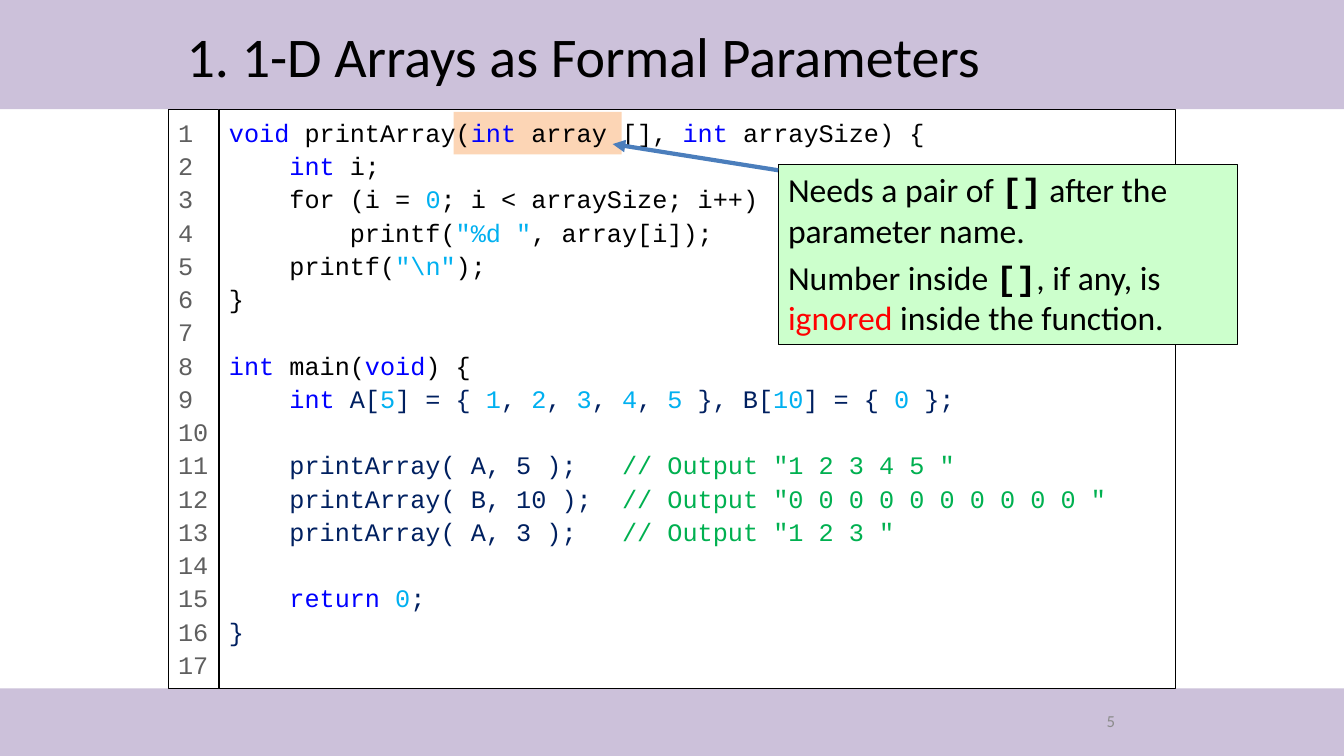
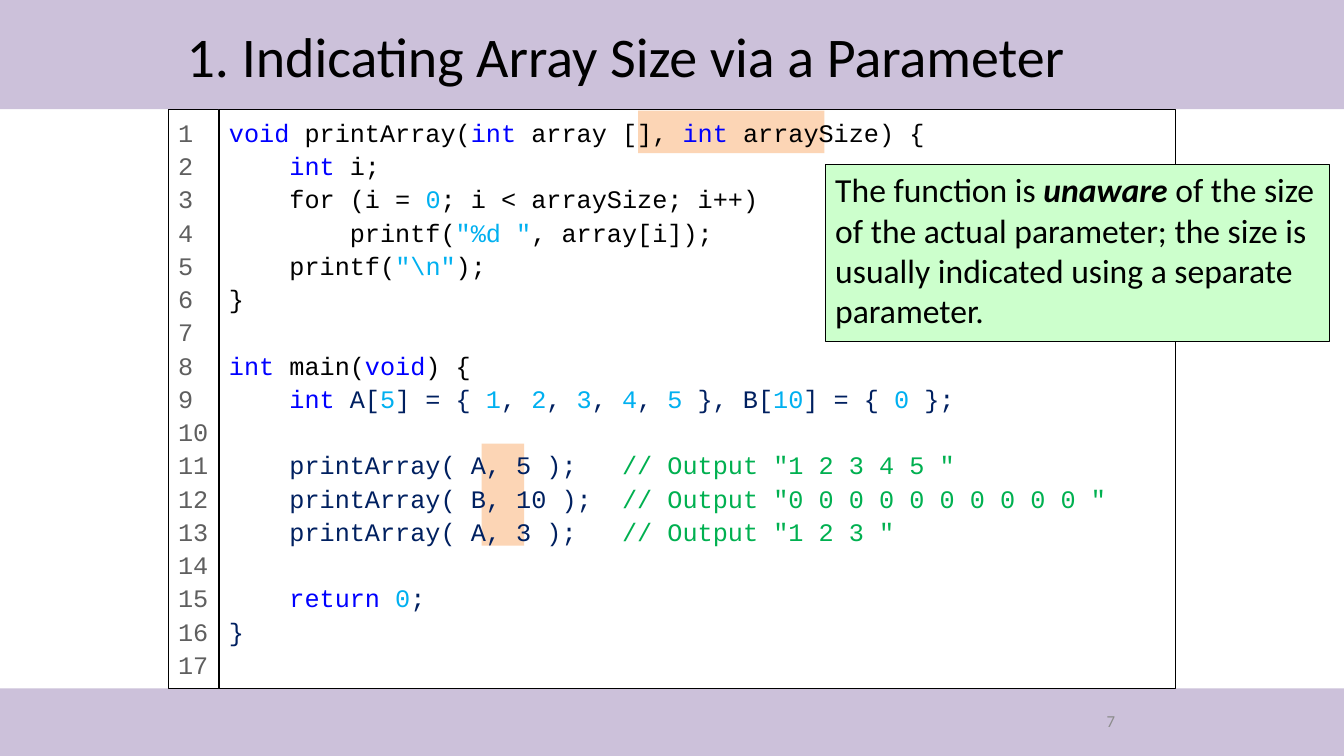
from lxml import etree
from pptx import Presentation
from pptx.dml.color import RGBColor
from pptx.enum.shapes import MSO_CONNECTOR, MSO_SHAPE
from pptx.enum.text import MSO_ANCHOR, PP_ALIGN
from pptx.oxml.ns import qn
from pptx.util import Cm, Pt

RECT = MSO_SHAPE.RECTANGLE
LINE = MSO_CONNECTOR.STRAIGHT
TOP, MIDDLE = MSO_ANCHOR.TOP, MSO_ANCHOR.MIDDLE
LEFT, RIGHT = PP_ALIGN.LEFT, PP_ALIGN.RIGHT

BLACK = RGBColor(0x00, 0x00, 0x00)
WHITE = RGBColor(0xFF, 0xFF, 0xFF)
LILAC = RGBColor(0xCC, 0xC1, 0xDA)
PEACH = RGBColor(0xFC, 0xD5, 0xB5)
MINT = RGBColor(0xCC, 0xFF, 0xCC)
BLUE = RGBColor(0x00, 0x00, 0xFF)
CYAN = RGBColor(0x00, 0xB0, 0xF0)
NAVY = RGBColor(0x00, 0x20, 0x60)
GREEN = RGBColor(0x00, 0xB0, 0x50)
RED = RGBColor(0xFF, 0x00, 0x00)
STEEL = RGBColor(0x4B, 0x7E, 0xBC)
SLATE = RGBColor(0x5F, 0x5F, 0x5F)
GREY = RGBColor(0x8C, 0x8C, 0x8C)

SANS, MONO = "Calibri", "Courier New"
WIDTH, HEIGHT = 33.87, 19.05
HEAD, FOOT = 2.75, 17.35
GUTTER, CODE, EDGE = 4.24, 5.52, 29.62
TITLE_ONLY = 5


def key(text):
    return text, {"color": BLUE}


def lit(text):
    return text, {"color": CYAN}


def note(text):
    return text, {"color": GREEN}


def code(text):
    return text, {"name": MONO, "bold": True}


PRINT = [
    [key("void "), "printArray(", key("int"), " array [], ", key("int "), "arraySize) {"],
    ["    ", key("int "), "i;"],
    ["    for (i = ", lit("0"), "; i < arraySize; i++)"],
    ["        printf(", lit('"%d "'), ", array[i]);"],
    ["    printf(", lit('"\\n"'), ");"],
    ["}"],
    [],
    [key("int"), " main(", key("void"), ") {"],
]
MAIN = [
    ["    ", key("int"), " A[", lit("5"), "] = { ", lit("1"), ", ", lit("2"), ", ",
     lit("3"), ", ", lit("4"), ", ", lit("5"), " }, B[", lit("10"), "] = { ",
     lit("0"), " };"],
    [],
    ["    printArray( A, 5 );   ", note('// Output "1 2 3 4 5 "')],
    ["    printArray( B, 10 );  ", note('// Output "0 0 0 0 0 0 0 0 0 0 "')],
    ["    printArray( A, 3 );   ", note('// Output "1 2 3 "')],
    [],
    ["    ", key("return "), lit("0"), ";"],
    ["}"],
]
ROWS = [(row, BLACK) for row in PRINT] + [(row, NAVY) for row in MAIN]


class Deck:
    def __init__(self):
        self.prs = Presentation()
        self.prs.slide_width, self.prs.slide_height = Cm(WIDTH), Cm(HEIGHT)
        self.layout = self.prs.slide_layouts[TITLE_ONLY]
        self.slide = None

    def start(self, title, page):
        first = self.slide is None
        self.slide = self.prs.slides.add_slide(self.layout)
        if first:
            self.bands()
        head = self.slide.shapes.title
        head.left, head.top = Cm(4.45), Cm(0.46)
        head.width, head.height = Cm(24.77), Cm(1.88)
        head.text_frame.vertical_anchor = MIDDLE
        self.letter(head.text_frame, [([title], BLACK)], 40)
        foot = self.slide.shapes.add_textbox(Cm(22.43), Cm(17.65), Cm(5.92), Cm(1.02))
        foot.text_frame.word_wrap = True
        foot.text_frame.vertical_anchor = MIDDLE
        self.letter(foot.text_frame, [([str(page)], GREY)], 12, align=RIGHT)

    def bands(self):
        """Draw both bands and move them to the layout, behind its placeholders."""
        tree = self.layout.shapes.element
        for top, tall in ((0, HEAD), (FOOT, HEIGHT - FOOT)):
            tree.insert(2, self.box(0, top, WIDTH, tall, LILAC).element)

    def box(self, left, top, wide, tall, fill=None, line=None):
        item = self.slide.shapes.add_shape(RECT, Cm(left), Cm(top), Cm(wide), Cm(tall))
        item.shadow.inherit = False
        if fill is None:
            item.fill.background()
        else:
            item.fill.solid()
            item.fill.fore_color.rgb = fill
        if line is None:
            item.line.fill.background()
        else:
            item.line.color.rgb = line
            item.line.width = Pt(0.75)
        item.text_frame.vertical_anchor = TOP
        return item

    def letter(self, frame, rows, size, name=SANS, align=LEFT, pitch=None, gap=0):
        """Fill a frame with rows of (parts, colour); a part is text or (text, style)."""
        for i, (parts, color) in enumerate(rows):
            para = frame.add_paragraph() if i else frame.paragraphs[0]
            para.alignment = align
            if pitch:
                para.line_spacing = pitch
            if i and gap:
                para.space_before = Pt(gap)
            para.font.size, para.font.name = Pt(size), name
            para.font.color.rgb = color
            for part in parts:
                text, style = (part, {}) if isinstance(part, str) else part
                run = para.add_run()
                run.text = text
                font = run.font
                if "color" in style:
                    font.color.rgb = style["color"]
                font.name = style.get("name")
                font.bold = style.get("bold")
                font.italic = style.get("italic")

    def mark(self, left, top, wide, tall):
        self.box(left, top, wide, tall, PEACH)

    def listing(self, rows):
        tall = FOOT - HEAD
        body = self.box(CODE, HEAD, EDGE - CODE, tall, line=BLACK)
        self.letter(body.text_frame, rows, 18, MONO, pitch=1.1)
        side = self.box(GUTTER, HEAD, CODE - GUTTER, tall, WHITE, BLACK)
        side.text_frame.margin_right = 0
        count = [([str(i)], SLATE) for i in range(1, len(rows) + 2)]
        self.letter(side.text_frame, count, 18, MONO, pitch=1.1)

    def callout(self, left, wide, tall, *rows):
        item = self.box(left, 4.14, wide, tall, MINT, BLACK)
        self.letter(item.text_frame, [(row, BLACK) for row in rows], 24, gap=4.8)

    def arrow(self, x1, y1, x2, y2):
        item = self.slide.shapes.add_connector(LINE, Cm(x1), Cm(y1), Cm(x2), Cm(y2))
        item.line.color.rgb = STEEL
        item.line.width = Pt(3)
        props = item.element.spPr
        etree.SubElement(props.find(qn("a:ln")), qn("a:tailEnd"), type="triangle")
        etree.SubElement(props, qn("a:effectLst"))


def main():
    deck = Deck()

    deck.start("1. 1-D Arrays as Formal Parameters", 5)
    deck.mark(11.43, 2.82, 4.24, 1.07)
    deck.listing(ROWS)
    deck.callout(
        19.61, 11.58, 4.55,
        ["Needs a pair of ", code("[]"), " after the parameter name."],
        ["Number inside ", code("[]"), ", if any, is ", ("ignored", {"color": RED}),
         " inside the function."])
    deck.arrow(19.61, 4.29, 15.44, 3.63)

    deck.start("1. Indicating Array Size via a Parameter", 7)
    deck.mark(12.14, 11.18, 1.07, 2.57)
    deck.mark(16.08, 2.79, 4.7, 1.07)
    deck.listing(ROWS)
    deck.callout(
        20.8, 12.7, 4.47,
        ["The function is ", ("unaware", {"bold": True, "italic": True}),
         " of the size of the actual parameter; the size is usually indicated"
         " using a separate parameter."])

    deck.prs.save("out.pptx")


if __name__ == "__main__":
    main()
